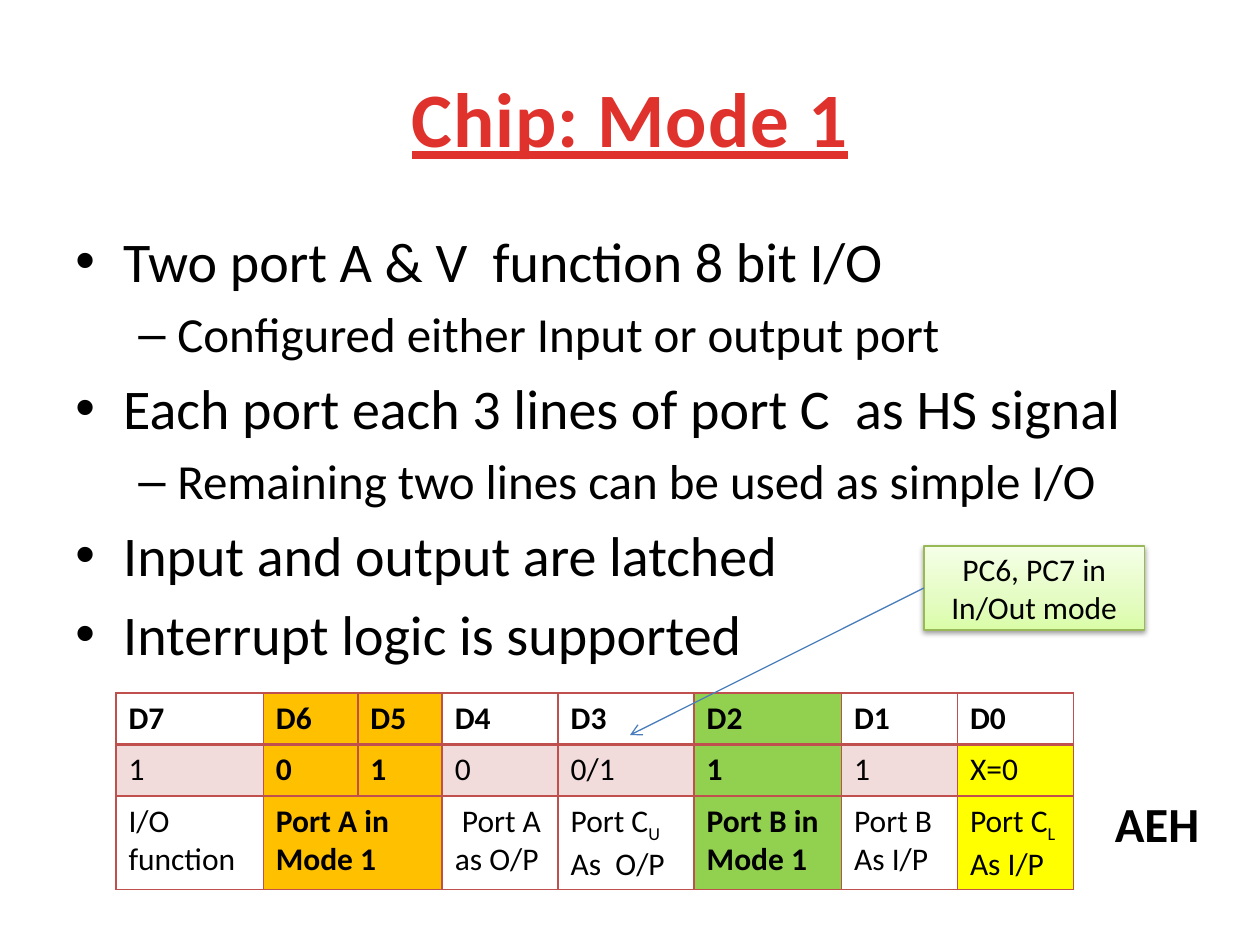
"""Build the Chip Mode 1 slide: bullets, control-word table and a callout."""
from copy import deepcopy
from dataclasses import dataclass

from lxml import etree
from pptx import Presentation
from pptx.dml.color import RGBColor
from pptx.enum.shapes import MSO_CONNECTOR, MSO_SHAPE
from pptx.enum.text import MSO_ANCHOR, MSO_AUTO_SIZE, PP_ALIGN
from pptx.oxml.ns import qn
from pptx.util import Emu, Inches, Pt

CENTER, LEFT = PP_ALIGN.CENTER, PP_ALIGN.LEFT
MIDDLE, TOP = MSO_ANCHOR.MIDDLE, MSO_ANCHOR.TOP


@dataclass(frozen=True)
class Theme:
    """Colours and type sizes of the slide."""
    font: str = "Calibri"
    ink: str = "000000"
    title: str = "E0322D"
    border: str = "C0504D"
    arrow: str = "4B7EBC"
    callout_line: str = "98B955"
    callout_stops: tuple = ((0, "DAFDA7"), (0.35, "E4FCC2"), (1, "F5FFE7"))
    port_a: str = "FFC000"
    port_b: str = "92D050"
    port_c: str = "FFFF00"
    band: str = "F2DCDB"
    title_size: int = 44
    bullet_sizes: tuple = (32, 28)
    label_size: int = 18
    tag_size: int = 28


THEME = Theme()
WIDTH, HEIGHT = Inches(10), Inches(7.5)

TITLE = "Chip: Mode 1"
BULLETS = [
    (0, "Two port A & V  function 8 bit I/O"),
    (1, "Configured either Input or output port"),
    (0, "Each port each 3 lines of port C  as HS signal"),
    (1, "Remaining two lines can be used as simple I/O"),
    (0, "Input and output are latched"),
    (0, "Interrupt logic is supported"),
]
BULLET_STYLES = (("•", 0.38, 0.38), ("–", 0.81, 0.31))

BITS = ["D7", "D6", "D5", "D4", "D3", "D2", "D1", "D0"]
VALUES = ["1", "0", "1", "0", "0/1", "1", "1", "X=0"]
MEANINGS = [
    [["I/O"], ["function"]],
    [["Port A in Mode 1"]],
    None,
    [[" Port A as O/P"]],
    [["Port C", "U"], ["As  O/P"]],
    [["Port B in"], ["Mode 1"]],
    [["Port B"], ["As I/P"]],
    [["Port C", "L"], ["As I/P"]],
]
COLUMN_WIDTHS = [1.17, 0.75, 0.67, 0.92, 1.08, 1.17, 0.92, 0.92]
ROW_HEIGHTS = [0.41, 0.41, 0.69]
MODE_FILLS = {1: THEME.port_a, 2: THEME.port_a, 5: THEME.port_b}
PORT_C_COLUMN = 7

CALLOUT = ["PC6, PC7 in", "In/Out mode"]
TAG = "AEH"


def rgb(value):
    return RGBColor.from_string(value)


def box(left, top, width, height):
    """Turn shares of the slide into lengths."""
    return (Emu(round(WIDTH * left)), Emu(round(HEIGHT * top)),
            Emu(round(WIDTH * width)), Emu(round(HEIGHT * height)))


def child(parent, tag, **attributes):
    return etree.SubElement(parent, qn(tag), attributes)


def add_run(paragraph, text, size, bold=False, color=THEME.ink):
    run = paragraph.add_run()
    run.text = text
    font = run.font
    font.name, font.size, font.bold = THEME.font, Pt(size), bold
    font.color.rgb = rgb(color)
    return run


def write(frame, lines, size, bold=False, align=LEFT):
    """Write lines of runs; a second run in a line is a subscript."""
    for index, line in enumerate(lines):
        paragraph = frame.paragraphs[0] if index == 0 else frame.add_paragraph()
        paragraph.alignment = align
        for position, text in enumerate(line):
            run = add_run(paragraph, text, size, bold)
            if position:
                run._r.get_or_add_rPr().set("baseline", "-25000")


def add_title(slide):
    title = slide.shapes.title
    title.left, title.top, title.width, title.height = box(0.05, 0.04, 0.9, 1 / 6)
    title.text_frame.vertical_anchor = MIDDLE
    paragraph = title.text_frame.paragraphs[0]
    paragraph.alignment = CENTER
    run = add_run(paragraph, TITLE, THEME.title_size, True, THEME.title)
    run.font.underline = True
    run._r.get_or_add_rPr().set("spc", "50")


def add_bullets(slide):
    frame = slide.shapes.add_textbox(*box(0.05, 0.2333, 0.9, 0.66)).text_frame
    frame.word_wrap = True
    for index, (level, text) in enumerate(BULLETS):
        paragraph = frame.paragraphs[0] if index == 0 else frame.add_paragraph()
        paragraph.level = level
        size = THEME.bullet_sizes[level]
        if index:
            paragraph.space_before = Pt(size * 0.2)
        mark, margin, hanging = BULLET_STYLES[level]
        properties = paragraph._p.get_or_add_pPr()
        properties.set("marL", str(Inches(margin)))
        properties.set("indent", str(-Inches(hanging)))
        child(properties, "a:buFont", typeface="Arial")
        child(properties, "a:buChar", char=mark)
        add_run(paragraph, text, size)


def set_borders(cell, widths):
    properties = cell._tc.get_or_add_tcPr()
    for side, width in widths.items():
        line = child(properties, f"a:ln{side}", w=str(Pt(width)))
        child(child(line, "a:solidFill"), "a:srgbClr", val=THEME.border)


def cell_fill(row, column):
    if column == PORT_C_COLUMN and row:
        return THEME.port_c
    return MODE_FILLS.get(column, THEME.band if row == 1 else None)


def add_control_word(slide):
    rows = [[[[text]] for text in BITS], [[[text]] for text in VALUES], MEANINGS]
    left, top, _, _ = box(0.092, 0.7333, 0, 0)
    table = slide.shapes.add_table(
        len(rows), len(BITS), left, top,
        Inches(sum(COLUMN_WIDTHS)), Inches(sum(ROW_HEIGHTS))).table
    table.first_row = table.horz_banding = False
    for column, width in zip(table.columns, COLUMN_WIDTHS):
        column.width = Inches(width)
    for row, height in zip(table.rows, ROW_HEIGHTS):
        row.height = Inches(height)
    for r, row in enumerate(rows):
        for c, lines in enumerate(row):
            cell = table.cell(r, c)
            set_borders(cell, {"L": 1, "R": 1, "T": 2 if r == 1 else 1,
                               "B": 2 if r == 0 else 1})
            color = cell_fill(r, c)
            if color:
                cell.fill.solid()
                cell.fill.fore_color.rgb = rgb(color)
            else:
                cell.fill.background()
            if lines is None:
                table.cell(r, c - 1).merge(cell)
            else:
                write(cell.text_frame, lines, THEME.label_size,
                      r == 0 or c in MODE_FILLS)


def add_tag(slide):
    frame = slide.shapes.add_textbox(*box(0.875, 0.8333, 0.1, 0.076)).text_frame
    frame.word_wrap = True
    frame.auto_size = MSO_AUTO_SIZE.SHAPE_TO_FIT_TEXT
    write(frame, [[TAG]], THEME.tag_size, True)


def add_callout(slide):
    callout = slide.shapes.add_shape(
        MSO_SHAPE.RECTANGLE, *box(0.7333, 0.5778, 0.175, 0.0889))
    callout.fill.gradient()
    callout.fill.gradient_angle = 90
    stop_list = callout._element.spPr.find(".//" + qn("a:gsLst"))
    stop_list.insert(1, deepcopy(stop_list[0]))
    for stop, (position, color) in zip(callout.fill.gradient_stops, THEME.callout_stops):
        stop.position, stop.color.rgb = position, rgb(color)
    callout.line.color.rgb = rgb(THEME.callout_line)
    callout.line.width = Pt(0.75)
    callout.shadow.inherit = False
    shadow = child(callout._element.spPr.find(qn("a:effectLst")), "a:outerShdw",
                   blurRad=str(Pt(3.1)), dist=str(Pt(1.6)), dir="5400000", rotWithShape="0")
    child(child(shadow, "a:srgbClr", val=THEME.ink), "a:alpha", val="38000")
    callout.text_frame.vertical_anchor = MIDDLE
    write(callout.text_frame, [[text] for text in CALLOUT], THEME.label_size, align=CENTER)

    end_x, end_y, _, _ = box(0.5, 0.7778, 0, 0)
    pointer = slide.shapes.add_connector(
        MSO_CONNECTOR.STRAIGHT, callout.left, callout.top, end_x, end_y)
    pointer.begin_connect(callout, 1)
    pointer.line.color.rgb = rgb(THEME.arrow)
    pointer.line.width = Pt(0.75)
    child(pointer.line._get_or_add_ln(), "a:tailEnd", type="arrow")
    child(pointer._element.spPr, "a:effectLst")


def main():
    deck = Presentation()
    deck.slide_width, deck.slide_height = WIDTH, HEIGHT
    slide = deck.slides.add_slide(deck.slide_layouts[5])
    for add_part in (add_title, add_bullets, add_control_word, add_tag, add_callout):
        add_part(slide)
    deck.save("out.pptx")


if __name__ == "__main__":
    main()
